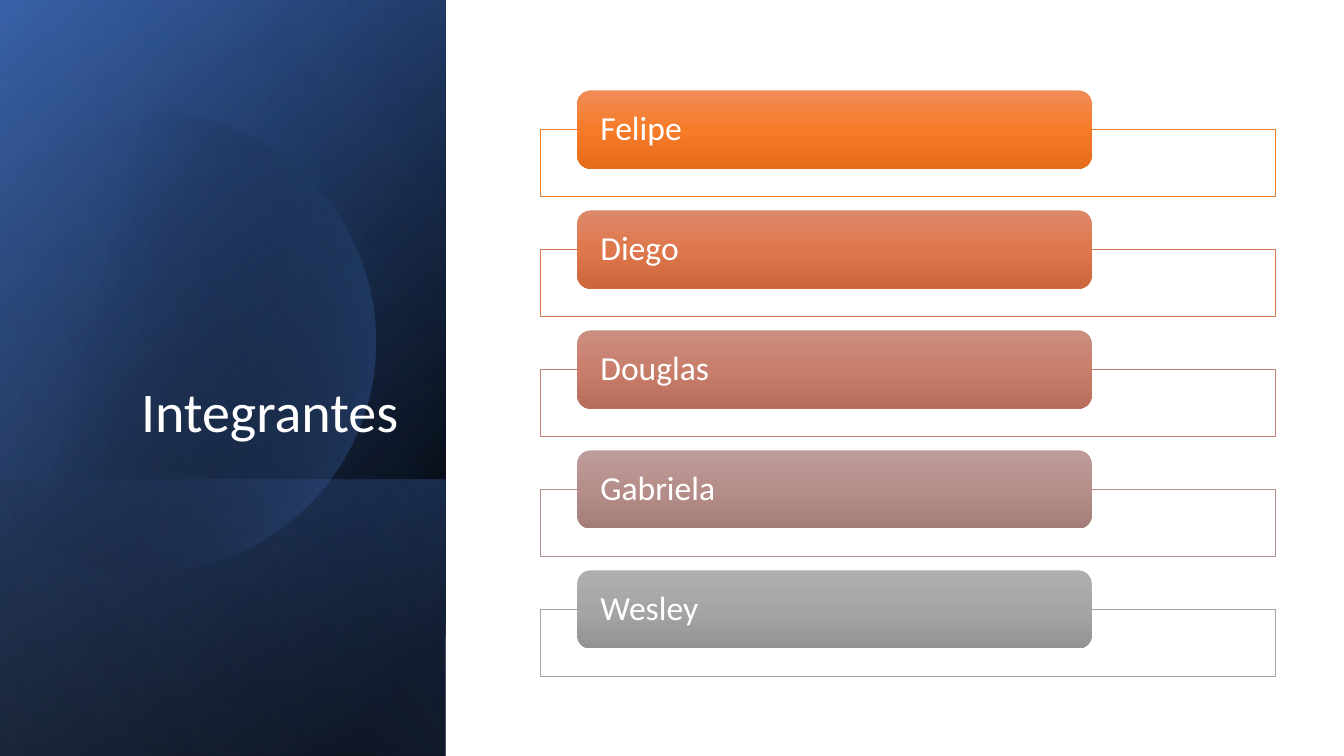
import math
from dataclasses import dataclass
from lxml import etree
from pptx import Presentation
from pptx import util as u
from pptx.dml import color
from pptx.enum import shapes, text
from pptx.oxml import ns

WIDTH = u.Inches(13.333)
HEIGHT = u.Inches(7.5)
FONT = "Calibri"
WHITE = "FFFFFF"
PANEL_WIDTH = 33.15
FIRST_TAG_TOP = 11.97
ROW_PITCH = 15.87


@dataclass(frozen=True)
class Stop:
    position: int
    shade: str
    opacity: int = 100


@dataclass(frozen=True)
class Gradient:
    angle: float
    stops: tuple[Stop, ...]


@dataclass(frozen=True)
class Box:
    left: float
    top: float
    width: float
    height: float

    def lengths(self) -> tuple[int, int, int, int]:
        return (across(self.left), down(self.top), across(self.width), down(self.height))


@dataclass(frozen=True)
class Panel:
    box: Box
    gradient: Gradient


@dataclass(frozen=True)
class Member:
    name: str
    outline: str
    shades: tuple[str, str, str]


FULL_PANEL = Box(0, 0, PANEL_WIDTH, 100)
LOWER_PANEL = Box(0, 63.47, PANEL_WIDTH, 36.53)
BACK_PANELS = (
    Panel(FULL_PANEL, Gradient(50, (Stop(8, "000000"), Stop(100, "2F5597")))),
    Panel(FULL_PANEL, Gradient(30, (Stop(0, "000000", 0), Stop(99, "4472C4", 46)))),
    Panel(LOWER_PANEL, Gradient(130, (Stop(2, "4472C4", 29), Stop(100, "000000", 30)))),
)
FRONT_PANEL = Panel(FULL_PANEL, Gradient(120, (Stop(0, "000000", 0), Stop(99, "8FAADC", 11))))
DISC_GRADIENT = Gradient(13.9, (Stop(29, "000000", 0), Stop(100, "4472C4", 43)))
MEMBERS = (
    Member("Felipe", "ED7D31", ("F18C57", "F67B28", "E56C19")),
    Member("Diego", "D87A51", ("DD8A6A", "DE774B", "CD673B")),
    Member("Douglas", "C48170", ("CB8F81", "C97E6B", "B76D5B")),
    Member("Gabriela", "B4908B", ("BC9C99", "B68E89", "A47C78")),
    Member("Wesley", "A5A5A5", ("AFAFAF", "A5A5A5", "939393")),
)


def across(percent: float) -> int:
    return round(WIDTH * percent / 100)


def down(percent: float) -> int:
    return round(HEIGHT * percent / 100)


def rgb(shade: str) -> color.RGBColor:
    return color.RGBColor.from_string(shade)


def fill_gradient(shape, gradient: Gradient) -> None:
    shape.shadow.inherit = False
    shape.line.fill.background()
    shape.fill.gradient()
    shape.fill.gradient_angle = -gradient.angle % 360
    stop_list = shape._element.spPr.find(".//" + ns.qn("a:gsLst"))
    for old_stop in list(stop_list):
        stop_list.remove(old_stop)
    for stop in gradient.stops:
        entry = etree.SubElement(stop_list, ns.qn("a:gs"), pos=str(stop.position * 1000))
        tone = etree.SubElement(entry, ns.qn("a:srgbClr"), val=stop.shade)
        if stop.opacity < 100:
            etree.SubElement(tone, ns.qn("a:alpha"), val=str(stop.opacity * 1000))


def write(shape, wording: str, *, size: float, align, anchor, inset: float = 0.1) -> None:
    frame = shape.text_frame
    frame.word_wrap = True
    frame.auto_size = text.MSO_AUTO_SIZE.NONE
    frame.vertical_anchor = anchor
    frame.margin_left = frame.margin_right = u.Inches(inset)
    paragraph = frame.paragraphs[0]
    paragraph.alignment = align
    paragraph.line_spacing = 0.9
    run = paragraph.add_run()
    run.text = wording
    run.font.name = FONT
    run.font.size = u.Pt(size)
    run.font.color.rgb = rgb(WHITE)


def draw_panel(slide, panel: Panel) -> None:
    left, top, width, height = panel.box.lengths()
    turn = (height - width) // 2
    shape = slide.shapes.add_shape(
        shapes.MSO_SHAPE.RECTANGLE, left - turn, top + turn, height, width
    )
    shape.rotation = 90
    shape._element.spPr.xfrm.set("flipH", "1")
    fill_gradient(shape, panel.gradient)


def draw_disc(slide) -> None:
    center_x, center_y, radius = across(10.73), down(45.2), down(30.53)
    reach = math.pi - math.acos(center_x / radius)
    steps = 120
    angles = [reach * (2 * step / steps - 1) for step in range(steps + 1)]
    points = [
        (round(center_x + radius * math.cos(angle)), round(center_y + radius * math.sin(angle)))
        for angle in angles
    ]
    builder = slide.shapes.build_freeform(*points[0])
    builder.add_line_segments(points[1:], close=True)
    fill_gradient(builder.convert_to_shape(), DISC_GRADIENT)


def draw_title(slide, wording: str) -> None:
    title = slide.shapes.title
    title.left, title.top, title.width, title.height = Box(4.8, 24.53, 25.58, 34.93).lengths()
    write(title, wording, size=40, align=text.PP_ALIGN.RIGHT, anchor=text.MSO_ANCHOR.BOTTOM)
    slide.shapes._spTree.append(title._element)


def draw_member(slide, member: Member, row: int) -> None:
    top = FIRST_TAG_TOP + row * ROW_PITCH
    outline = slide.shapes.add_shape(
        shapes.MSO_SHAPE.RECTANGLE, *Box(40.2, top + 5.14, 54.69, 8.87).lengths()
    )
    outline.shadow.inherit = False
    outline.fill.solid()
    outline.fill.fore_color.rgb = rgb(WHITE)
    outline.line.color.rgb = rgb(member.outline)
    outline.line.width = u.Pt(0.5)
    tag = slide.shapes.add_shape(
        shapes.MSO_SHAPE.ROUNDED_RECTANGLE, *Box(42.96, top, 38.26, 10.33).lengths()
    )
    stops = tuple(Stop(index * 50, shade) for index, shade in enumerate(member.shades))
    fill_gradient(tag, Gradient(90, stops))
    write(
        tag,
        member.name,
        size=24,
        align=text.PP_ALIGN.LEFT,
        anchor=text.MSO_ANCHOR.MIDDLE,
        inset=0.19,
    )


def main() -> None:
    presentation = Presentation()
    presentation.slide_width = WIDTH
    presentation.slide_height = HEIGHT
    slide = presentation.slides.add_slide(presentation.slide_layouts[5])
    for panel in BACK_PANELS:
        draw_panel(slide, panel)
    draw_disc(slide)
    draw_panel(slide, FRONT_PANEL)
    draw_title(slide, "Integrantes")
    for row, member in enumerate(MEMBERS):
        draw_member(slide, member, row)
    presentation.save("out.pptx")


if __name__ == "__main__":
    main()
